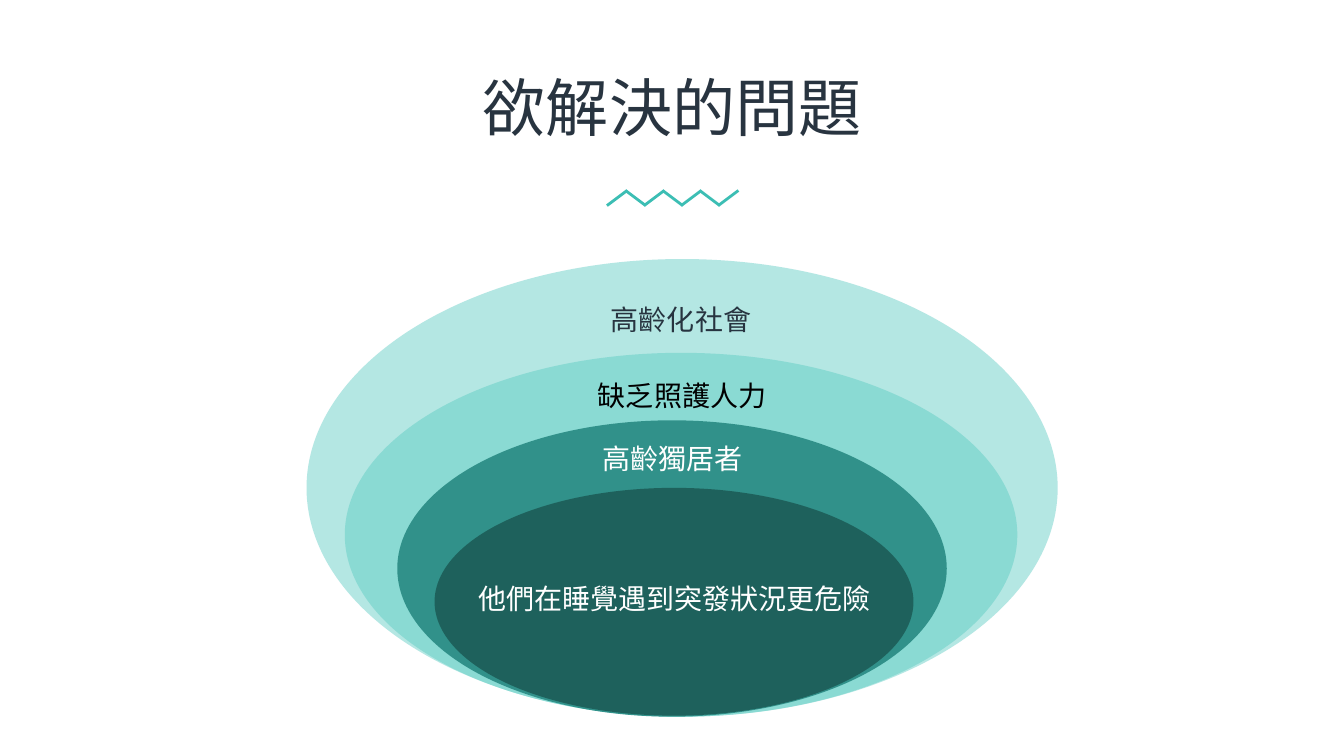
from dataclasses import dataclass

from lxml.etree import SubElement
from pptx import Presentation
from pptx.dml.color import RGBColor
from pptx.enum.shapes import MSO_CONNECTOR, MSO_SHAPE
from pptx.enum.text import MSO_ANCHOR, PP_ALIGN
from pptx.oxml.ns import qn
from pptx.slide import Slide
from pptx.util import Inches, Pt

FONT = "Noto Sans CJK TC"
COLORS = {
    "title": "283440",
    "zigzag": "3CBEB4",
    "dark": "273440",
    "black": "000000",
    "white": "FFFFFF",
    "pale": "B0E6E2",
    "light": "88DAD3",
    "medium": "2D8E87",
    "deep": "1E5F5A",
}


@dataclass
class Area:
    left: float
    top: float
    width: float
    height: float

    def lengths(self) -> list[Inches]:
        return [Inches(n) for n in (self.left, self.top, self.width, self.height)]


@dataclass
class Label:
    text: str
    area: Area
    color: str
    size: int = 20
    line_points: int | None = 23


@dataclass
class Layer:
    ellipse: Area
    fill: str
    label: Label


TITLE = Label("欲解決的問題", Area(0, 0.63, 13.33, 0.86), "title", 45, None)

# Outermost layer first
LAYERS = [
    Layer(Area(3.04, 2.57, 7.45, 4.54), "pale",
          Label("高齡化社會", Area(0.53, 2.96, 12.45, 0.42), "dark")),
    Layer(Area(3.42, 3.5, 6.67, 3.61), "light",
          Label("缺乏照護人力", Area(0.54, 3.72, 12.45, 0.42), "black")),
    Layer(Area(3.94, 4.17, 5.45, 2.94), "medium",
          Label("高齡獨居者", Area(2.49, 4.34, 8.36, 0.42), "white")),
    Layer(Area(4.31, 4.84, 4.75, 2.26), "deep",
          Label("他們在睡覺遇到突發狀況更危險", Area(2.51, 5.73, 8.36, 0.42), "white")),
]


def color_of(name: str) -> RGBColor:
    return RGBColor.from_string(COLORS[name])


def add_label(page: Slide, label: Label) -> None:
    box = page.shapes.add_textbox(*label.area.lengths())
    frame = box.text_frame
    frame.word_wrap = True
    frame.vertical_anchor = MSO_ANCHOR.MIDDLE
    para = frame.paragraphs[0]
    para.alignment = PP_ALIGN.CENTER
    if label.line_points:
        para.line_spacing = Pt(label.line_points)
    span = para.add_run()
    span.text = label.text
    span.font.size = Pt(label.size)
    span.font.name = FONT
    span.font.color.rgb = color_of(label.color)
    # East Asian typeface
    SubElement(span.font._element, qn("a:ea"), typeface=FONT)


def add_zigzag(page: Slide) -> None:
    start, step, width = 6.02, 0.184, 0.2
    low, high = 2.04, 1.89
    group = page.shapes.add_group_shape()
    for index in range(7):
        left = start + index * step
        begin, end = (low, high) if index % 2 == 0 else (high, low)
        stroke = group.shapes.add_connector(
            MSO_CONNECTOR.STRAIGHT,
            Inches(left), Inches(begin), Inches(left + width), Inches(end))
        stroke.line.color.rgb = color_of("zigzag")
        stroke.line.width = Pt(2)
        SubElement(stroke._element.spPr, qn("a:effectLst"))


def add_layer(page: Slide, layer: Layer) -> None:
    ellipse = page.shapes.add_shape(MSO_SHAPE.OVAL, *layer.ellipse.lengths())
    ellipse.shadow.inherit = False
    ellipse.line.fill.background()
    ellipse.fill.solid()
    ellipse.fill.fore_color.rgb = color_of(layer.fill)
    # Slight transparency
    tint = ellipse._element.spPr.find(qn("a:solidFill"))[0]
    SubElement(tint, qn("a:alpha"), val="95000")
    add_label(page, layer.label)


def main() -> None:
    deck = Presentation()
    deck.slide_width, deck.slide_height = Inches(13.33), Inches(7.5)
    page = deck.slides.add_slide(deck.slide_layouts[6])

    # Heading
    add_label(page, TITLE)
    add_zigzag(page)

    # Nested problems
    for layer in LAYERS:
        add_layer(page, layer)

    deck.save("out.pptx")


if __name__ == "__main__":
    main()
